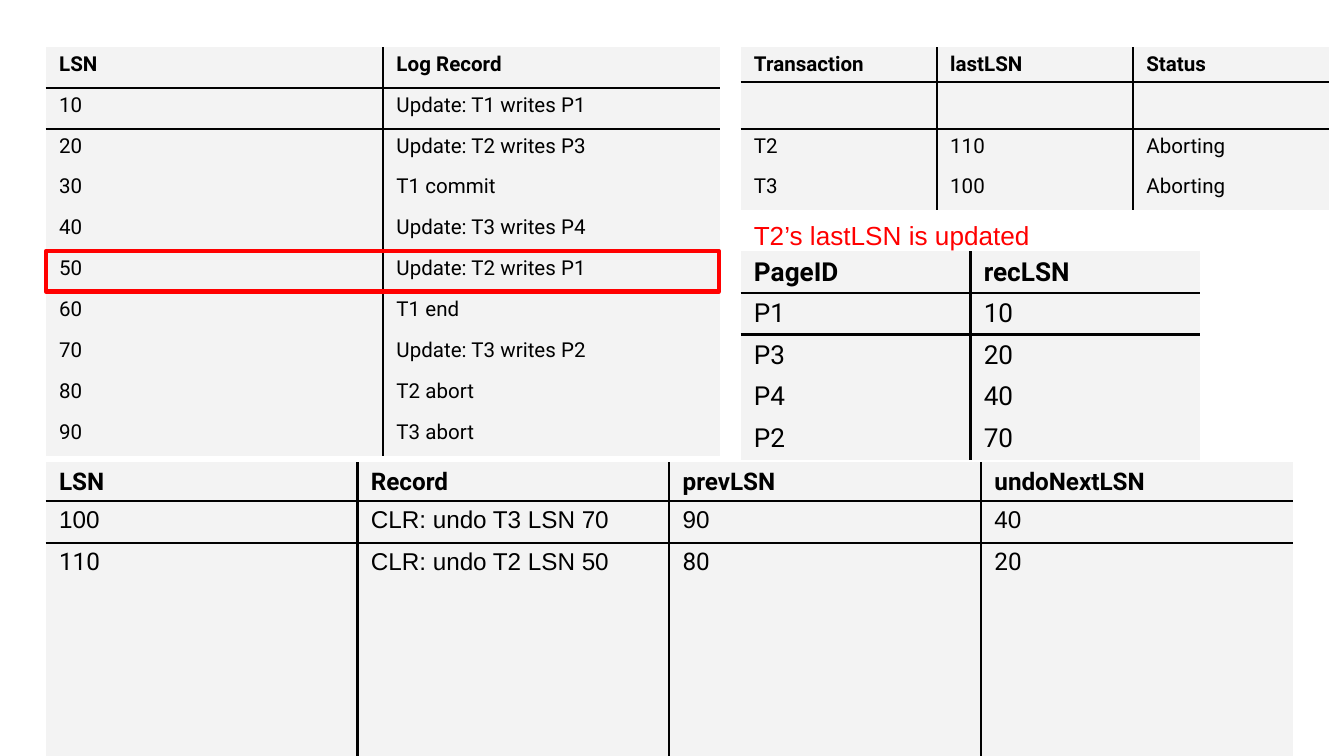
from lxml.etree import SubElement
from pptx import Presentation
from pptx.dml.color import RGBColor as RGB
from pptx.enum.shapes import MSO_SHAPE as SHAPE
from pptx.oxml.ns import qn
from pptx.util import Inches, Pt

COLORS = {"ink": "000000", "cell": "F3F3F3", "mark": "FF0000"}
NO_GRID = "{2D5ABB26-0587-4C30-8999-92F81FD0307C}"
LEFT, RIGHT = 0.34, 5.51

LOG = [
    ["LSN", "Log Record"],
    ["10", "Update: T1 writes P1"],
    ["20", "Update: T2 writes P3"],
    ["30", "T1 commit"],
    ["40", "Update: T3 writes P4"],
    ["50", "Update: T2 writes P1"],
    ["60", "T1 end"],
    ["70", "Update: T3 writes P2"],
    ["80", "T2 abort"],
    ["90", "T3 abort"],
]
TRANS = [
    ["Transaction", "lastLSN", "Status"],
    [""] * 3,
    ["T2", "110", "Aborting"],
    ["T3", "100", "Aborting"],
]
PAGES = [
    ["PageID", "recLSN"],
    ["P1", "10"],
    ["P3", "20"],
    ["P4", "40"],
    ["P2", "70"],
]
UNDO = [
    ["LSN", "Record", "prevLSN", "undoNextLSN"],
    ["100", "CLR: undo T3 LSN 70", "90", "40"],
    ["110", "CLR: undo T2 LSN 50", "80", "20"],
] + [[""] * 4] * 4
ARIAL = {(1, 0), (1, 1), (1, 2), (1, 3), (2, 1)}


def color(name):
    """Return the named colour."""
    return RGB.from_string(COLORS[name])


def style(frame, font, size, name, bold=False):
    """Format every run of a text frame."""
    for para in frame.paragraphs:
        for run in para.runs:
            run.font.name, run.font.size = font, Pt(size)
            run.font.bold = bold
            run.font.color.rgb = color(name)


def add_rules(cell, row, col, last):
    """Draw the inner column rules and the rules around the first data row."""
    props = cell._tc.get_or_add_tcPr()
    sides = {"L": col > 0, "R": col < last, "T": row == 1, "B": row == 0}
    for side, shown in sides.items():
        if shown:
            line = SubElement(props, qn(f"a:ln{side}"), w=str(Pt(1.5)))
            fill = SubElement(line, qn("a:solidFill"))
            SubElement(fill, qn("a:srgbClr"), val=COLORS["ink"])


def add_grid(slide, left, top, width, heights, rows, size, arial=()):
    """Add a table with equal columns and a bold header row."""
    cols = len(rows[0])
    table = slide.shapes.add_table(
        len(rows), cols, Inches(left), Inches(top),
        Inches(width * cols), Inches(sum(heights))).table
    table._tbl.tblPr.find(qn("a:tableStyleId")).text = NO_GRID
    for column in table.columns:
        column.width = Inches(width)
    for r, (texts, height) in enumerate(zip(rows, heights)):
        table.rows[r].height = Inches(height)
        for c, text in enumerate(texts):
            cell = table.cell(r, c)
            cell.margin_left = cell.margin_right = Inches(0.1)
            cell.margin_top = cell.margin_bottom = Inches(0.04 if text else 0.02)
            add_rules(cell, r, c, cols - 1)
            cell.fill.solid()
            cell.fill.fore_color.rgb = color("cell")
            if text:
                cell.text_frame.text = text
                font = "Arial" if (r, c) in arial else "Roboto"
                style(cell.text_frame, font, size, "ink", r == 0)


def add_frame(slide, left, top, width, height):
    """Outline a table row."""
    frame = slide.shapes.add_shape(
        SHAPE.RECTANGLE, Inches(left), Inches(top), Inches(width), Inches(height))
    frame.shadow.inherit = False
    frame.fill.background()
    frame.line.color.rgb = color("mark")
    frame.line.width = Pt(2.25)


def add_note(slide, left, top, width, height, text):
    """Add a coloured note."""
    box = slide.shapes.add_textbox(
        Inches(left), Inches(top), Inches(width), Inches(height)).text_frame
    box.word_wrap = True
    box.margin_left = box.margin_right = Inches(0.1)
    box.margin_top = box.margin_bottom = Inches(0.1)
    box.text = text
    style(box, "Arial", 14, "mark")


def main():
    """Build the slide."""
    deck = Presentation()
    deck.slide_width, deck.slide_height = Inches(10), Inches(10 * 9 / 16)
    slide = deck.slides.add_slide(deck.slide_layouts[6])
    step = 3.04 / len(LOG)
    add_grid(slide, LEFT, 0.35, 2.51, [step] * len(LOG), LOG, 11)
    add_grid(slide, RIGHT, 0.35, 1.46, [0.26, 0.35, 0.3, 0.3], TRANS, 11)
    add_grid(slide, RIGHT, 1.87, 1.71, [0.3] * len(PAGES), PAGES, 14)
    add_frame(slide, LEFT, 1.87, 5.01, 0.3)
    add_grid(slide, LEFT, 3.44, 2.32, [0.28, 0.31, 0.3] + [0.35] * 4,
             UNDO, 13, ARIAL)
    add_note(slide, RIGHT, 1.53, 4.39, 0.38, "T2’s lastLSN is updated")
    deck.save("out.pptx")


if __name__ == "__main__":
    main()
